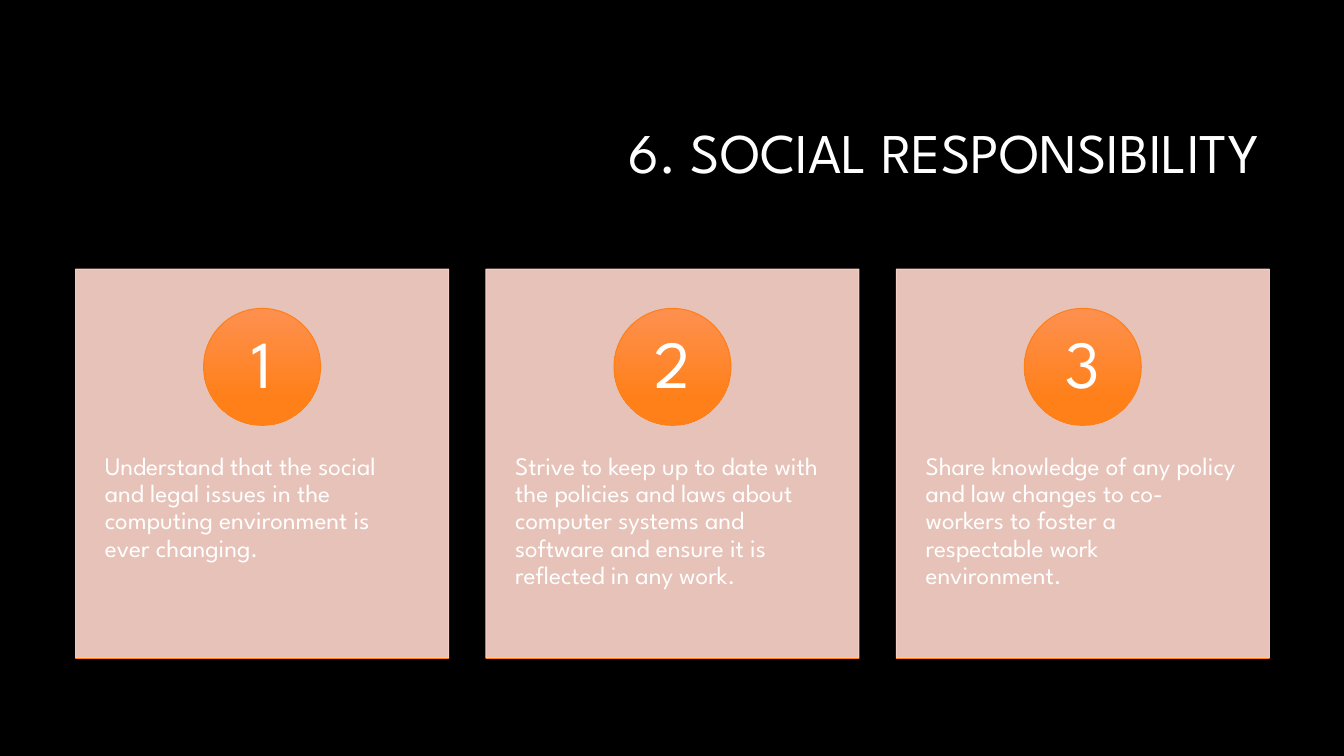
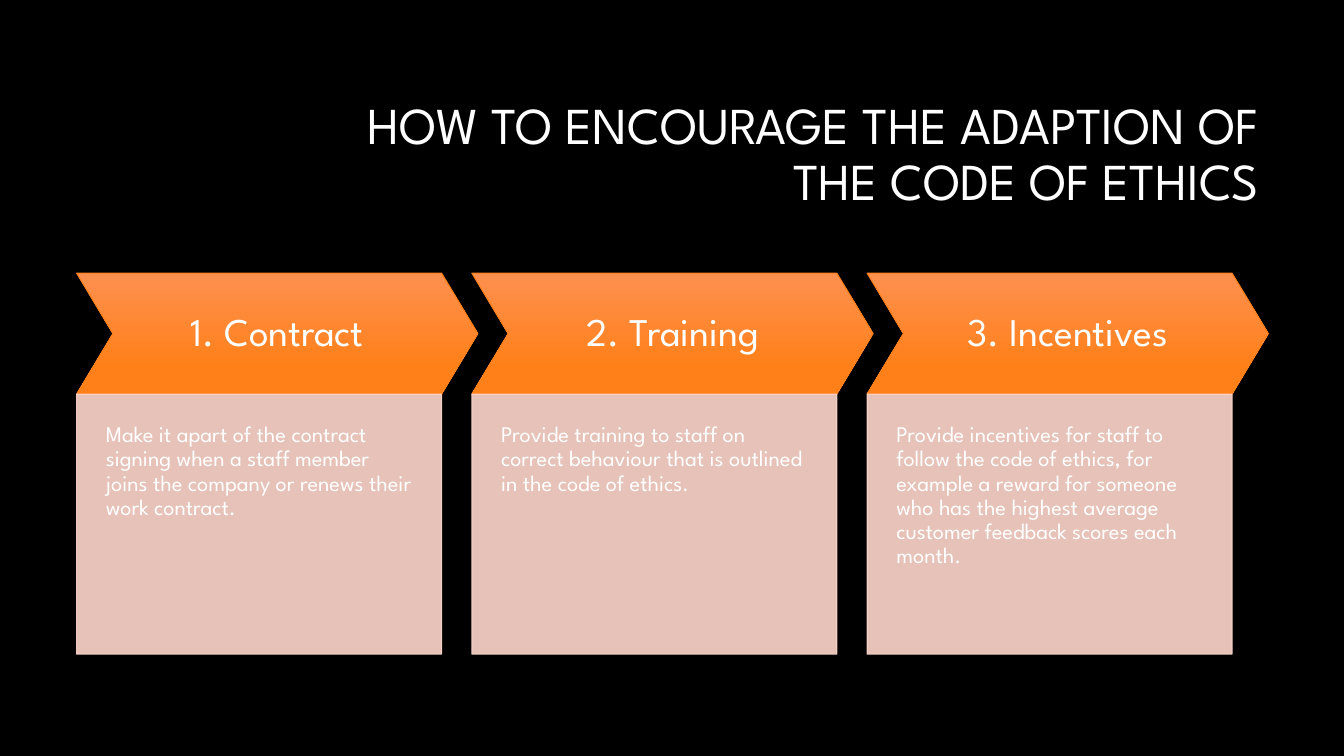
from lxml import etree
from pptx import Presentation
from pptx.dml.color import RGBColor
from pptx.enum import shapes, text
from pptx.oxml import ns
from pptx.util import Inches, Pt

FONT = "League Spartan"
BLACK = RGBColor(0x00, 0x00, 0x00)
WHITE = RGBColor(0xFF, 0xFF, 0xFF)
PEACH = RGBColor(0xFF, 0xD8, 0xCD)
ORANGE = RGBColor(0xFE, 0x80, 0x1A)
ORANGE_TOP = RGBColor(0xFE, 0x90, 0x4F)
ORANGE_BOTTOM = RGBColor(0xFF, 0x80, 0x19)
LINE_WIDTH = Pt(0.75)

DUTIES = [
    "Understand that the social and legal issues in the computing environment "
    "is ever changing.",
    "Strive to keep up to date with the policies and laws about computer "
    "systems and software and ensure it is reflected in any work.",
    "Share knowledge of any policy and law changes to co-workers to foster a "
    "respectable work environment.",
]
STEPS = [
    ("1. Contract",
     "Make it apart of the contract signing when a staff member joins the "
     "company or renews their work contract."),
    ("2. Training",
     "Provide training to staff on correct behaviour that is outlined in the "
     "code of ethics."),
    ("3. Incentives",
     "Provide incentives for staff to follow the code of ethics, for example a "
     "reward for someone who has the highest average customer feedback scores "
     "each month."),
]


def write(shape, words, size, align, anchor, insets):
    """Fill a shape with one paragraph; insets run left, top, right, bottom."""
    frame = shape.text_frame
    frame.word_wrap = True
    frame.auto_size = text.MSO_AUTO_SIZE.NONE
    frame.vertical_anchor = anchor
    frame.margin_left, frame.margin_top, frame.margin_right, frame.margin_bottom = (
        Inches(inset) for inset in insets)
    para = frame.paragraphs[0]
    para.alignment = align
    para.line_spacing = 0.9
    span = para.add_run()
    span.text = words
    span.font.name = FONT
    span.font.size = Pt(size)
    span.font.color.rgb = WHITE


def add_panel(page, kind, left, top, width, height):
    """Add a shadowless preset shape."""
    panel = page.shapes.add_shape(
        kind, Inches(left), Inches(top), Inches(width), Inches(height))
    panel.shadow.inherit = False
    panel.line.width = LINE_WIDTH
    return panel


def add_card(page, left, top, width, height, words, size, insets):
    """Add a translucent peach card with text from its top left."""
    card = add_panel(page, shapes.MSO_SHAPE.RECTANGLE, left, top, width, height)
    card.fill.solid()
    card.fill.fore_color.rgb = PEACH
    card.line.color.rgb = PEACH
    for colour in card.fill._xPr.iter(ns.qn("a:srgbClr")):
        etree.SubElement(colour, ns.qn("a:alpha"), val="90000")
    write(card, words, size, text.PP_ALIGN.LEFT, text.MSO_ANCHOR.TOP, insets)


def add_accent(page, kind, left, top, width, height, words, size, insets):
    """Add an orange gradient shape with a centred label."""
    accent = add_panel(page, kind, left, top, width, height)
    accent.fill.gradient()
    accent.fill.gradient_angle = 270
    stops = accent.fill.gradient_stops
    for stop, colour, position in zip(stops, (ORANGE_TOP, ORANGE_BOTTOM), (0, 0.78)):
        stop.color.rgb = colour
        stop.position = position
    accent.line.color.rgb = ORANGE
    write(accent, words, size, text.PP_ALIGN.CENTER, text.MSO_ANCHOR.MIDDLE, insets)
    return accent


def add_rule(page, left, top, width):
    """Add a thin horizontal orange line."""
    rule = page.shapes.add_connector(
        shapes.MSO_CONNECTOR.STRAIGHT,
        Inches(left), Inches(top), Inches(left + width), Inches(top))
    rule.line.color.rgb = ORANGE
    rule.line.width = LINE_WIDTH
    etree.SubElement(rule._element.spPr, ns.qn("a:effectLst"))


def add_numbered_card(page, left, top, width, height, number, words):
    """Add a card with a numbered disc above its text and a rule at its foot."""
    disc = 1.16
    add_card(page, left, top, width, height, words, 18, (0.29, 1.83, 0.29, 0.43))
    add_accent(page, shapes.MSO_SHAPE.OVAL, left + (width - disc) / 2, top + 0.39,
               disc, disc, str(number), 48, (0.09, 0.01, 0.09, 0.01))
    add_rule(page, left, top + height, width)


def add_step(page, left, top, width, height, label, words):
    """Add a chevron heading over a card that stops where its point begins."""
    head, point = 1.2, 0.36
    chevron = add_accent(page, shapes.MSO_SHAPE.CHEVRON, left, top, width, head,
                         label, 28, (0.15,) * 4)
    chevron.adjustments[0] = point / head
    add_card(page, left, top + head, width - point, height - head, words, 16,
             (0.29, 0.29, 0.29, 0.57))


def add_page(deck, heading, size):
    """Add a slide with the shared right-aligned title."""
    page = deck.slides.add_slide(deck.slide_layouts[5])
    title = page.shapes.title
    title.left, title.top = Inches(3.17), Inches(0.84)
    title.width, title.height = Inches(9.42), Inches(1.41)
    write(title, heading, size, text.PP_ALIGN.RIGHT, text.MSO_ANCHOR.MIDDLE,
          (0.1, 0.05, 0.1, 0.05))
    return page


def build_duties(deck):
    """Build the slide of three numbered cards."""
    page = add_page(deck, "6. SOCIAL RESPONSIBILITY", 40)
    for index, words in enumerate(DUTIES):
        add_numbered_card(page, 0.75 + index * 4.07, 2.67, 3.7, 3.86, index + 1, words)


def build_steps(deck):
    """Build the slide of three chevron steps."""
    page = add_page(deck, "HOW TO ENCOURAGE THE ADAPTION OF THE CODE OF ETHICS", 37)
    for index, (label, words) in enumerate(STEPS):
        add_step(page, 0.76 + index * 3.92, 2.71, 3.98, 3.78, label, words)


def main():
    """Build and save the deck."""
    deck = Presentation()
    deck.slide_width, deck.slide_height = Inches(13.33), Inches(7.5)
    backdrop = deck.slide_master.background.fill
    backdrop.solid()
    backdrop.fore_color.rgb = BLACK
    build_duties(deck)
    build_steps(deck)
    deck.save("out.pptx")


if __name__ == "__main__":
    main()
